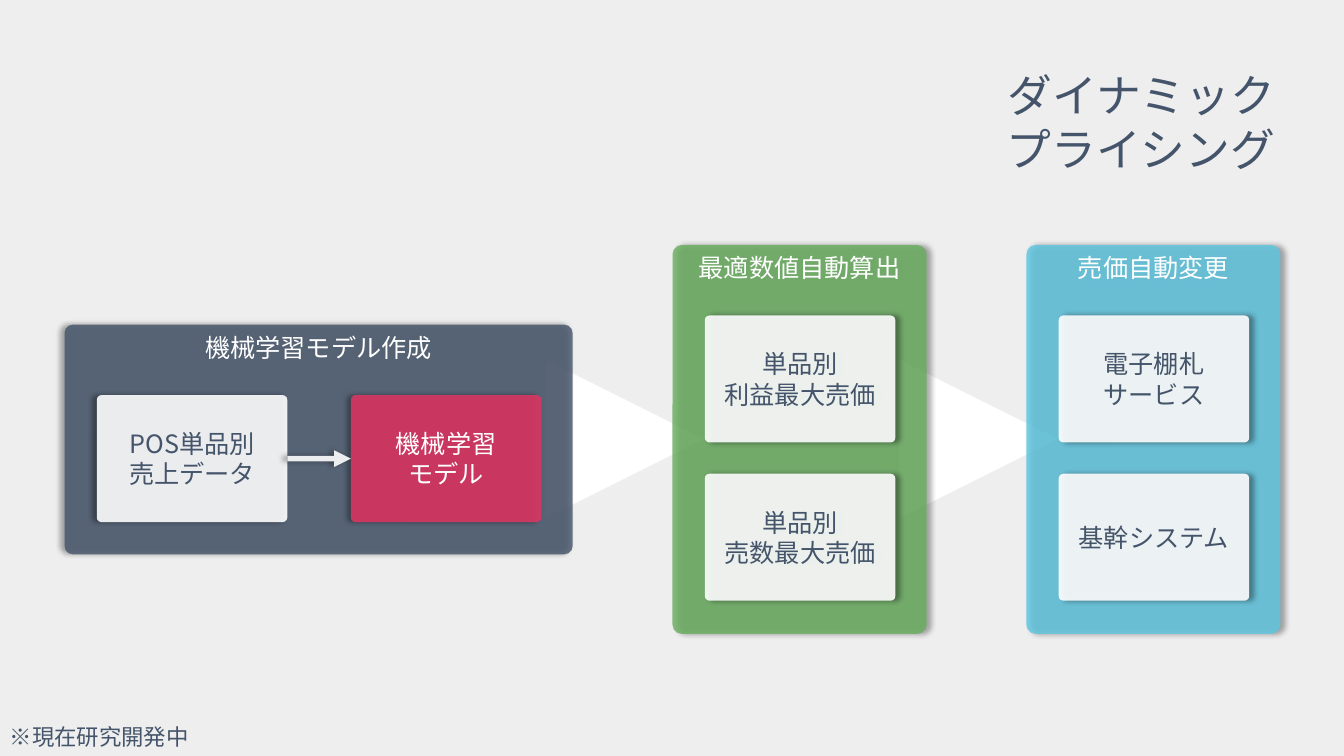
"""Builds the dynamic pricing flow slide."""
from lxml.etree import SubElement
from pptx import Presentation
from pptx.dml.color import RGBColor
from pptx.enum.shapes import MSO_CONNECTOR, MSO_SHAPE
from pptx.enum.text import MSO_ANCHOR, PP_ALIGN
from pptx.oxml.ns import qn
from pptx.util import Inches, Pt

FONT = "Noto Sans CJK JP"
BACKGROUND = RGBColor(0xEE, 0xEE, 0xEE)
WHITE = RGBColor(0xFF, 0xFF, 0xFF)
NAVY = RGBColor(0x44, 0x54, 0x6A)
RED = RGBColor(0xD9, 0x37, 0x63)
GREEN = RGBColor(0x67, 0xAD, 0x5D)
BLUE = RGBColor(0x5B, 0xC6, 0xE1)

CARD_W, CARD_H = 1.89, 1.26
CARD_LEFT, CARD_TOP = 0.32, 0.7
STEP_ACROSS, STEP_DOWN = 2.52, 1.57
ARROW_SIZE = 1.57


def set_alpha(parent, percent):
    """Makes the solid fill found under an element partly transparent."""
    color = parent.find(qn("a:solidFill"))[0]
    SubElement(color, qn("a:alpha"), val=str(percent * 1000))


def add_shadow(spPr, angle):
    """Adds a soft black outer shadow cast at the given angle."""
    effects = spPr.find(qn("a:effectLst"))
    if effects is None:
        effects = SubElement(spPr, qn("a:effectLst"))
    shadow = SubElement(effects, qn("a:outerShdw"), blurRad=str(Pt(4)),
                        dist=str(Pt(3)), dir=str(angle * 60000),
                        algn="ctr", rotWithShape="0")
    color = SubElement(shadow, qn("a:srgbClr"), val="000000")
    SubElement(color, qn("a:alpha"), val="40000")


def write_text(sp, text, size=18, color=NAVY, align=PP_ALIGN.CENTER,
               anchor=MSO_ANCHOR.TOP):
    """Writes one paragraph per line of text into a shape."""
    tf = sp.text_frame
    tf.word_wrap = True
    tf.vertical_anchor = anchor
    for i, line in enumerate(text.split("\n")):
        p = tf.paragraphs[0] if i == 0 else tf.add_paragraph()
        p.alignment = align
        r = p.add_run()
        r.text = line
        r.font.size = Pt(size)
        r.font.color.rgb = color
        r.font.name = FONT
        SubElement(r.font._element, qn("a:ea"), typeface=FONT)


def add_label(s, box, text, **fmt):
    """Places a plain text box."""
    write_text(s.shapes.add_textbox(*map(Inches, box)), text, **fmt)


def add_block(s, box, fill, alpha, angle, text, **fmt):
    """Places a translucent rounded block with a shadow and text."""
    sp = s.shapes.add_shape(MSO_SHAPE.ROUNDED_RECTANGLE, *map(Inches, box))
    sp.adjustments[0] = 0.037
    sp.fill.solid()
    sp.fill.fore_color.rgb = fill
    sp.line.fill.background()
    sp.shadow.inherit = False
    set_alpha(sp._element.spPr, alpha)
    add_shadow(sp._element.spPr, angle)
    write_text(sp, text, **fmt)
    return sp


def add_panel(s, box, fill, title, cards, step, angle=0):
    """Places a titled panel and its cards, and returns the cards."""
    add_block(s, box, fill, 80, angle, title, color=WHITE)
    left, top = box[0] + CARD_LEFT, box[1] + CARD_TOP
    return [
        add_block(s, (left + i * step[0], top + i * step[1], CARD_W, CARD_H),
                  card_fill, 90, angle, text, color=color,
                  anchor=MSO_ANCHOR.MIDDLE)
        for i, (text, card_fill, color) in enumerate(cards)
    ]


def add_flow_arrow(s, left, top):
    """Places a white triangle that points right."""
    sp = s.shapes.add_shape(MSO_SHAPE.ISOSCELES_TRIANGLE, Inches(left),
                            Inches(top), Inches(ARROW_SIZE), Inches(ARROW_SIZE))
    sp.rotation = 90
    sp.fill.solid()
    sp.fill.fore_color.rgb = WHITE
    sp.line.fill.background()
    sp.shadow.inherit = False


def link_cards(s, source, target, angle):
    """Joins two neighbouring cards with an arrow."""
    line = s.shapes.add_connector(MSO_CONNECTOR.STRAIGHT, 0, 0, 0, 0)
    line.begin_connect(source, 3)
    line.end_connect(target, 1)
    line.line.color.rgb = WHITE
    line.line.width = Pt(4)
    ln = line.line._get_or_add_ln()
    set_alpha(ln, 90)
    SubElement(ln, qn("a:tailEnd"), type="triangle")
    add_shadow(line._element.spPr, angle)


def build_slide(prs):
    """Builds the three stages of the pricing flow."""
    s = prs.slides.add_slide(prs.slide_layouts[6])
    s.background.fill.solid()
    s.background.fill.fore_color.rgb = BACKGROUND
    for left in (8.92, 5.41):
        add_flow_arrow(s, left, 3.57)
    add_label(s, (6.67, 0.62, 6.08, 1.18), "ダイナミック\nプライシング",
              size=32, align=PP_ALIGN.RIGHT)
    data, model = add_panel(
        s, (0.64, 3.22, 5.04, 2.28), NAVY, "機械学習モデル作成",
        [("POS単品別\n売上データ", WHITE, NAVY),
         ("機械学習\nモデル", RED, WHITE)],
        (STEP_ACROSS, 0), angle=180)
    link_cards(s, data, model, 180)
    stages = [
        (6.67, GREEN, "最適数値自動算出",
         ["単品別\n利益最大売価", "単品別\n売数最大売価"]),
        (10.18, BLUE, "売価自動変更",
         ["電子棚札\nサービス", "基幹システム"]),
    ]
    for left, fill, title, texts in stages:
        add_panel(s, (left, 2.43, 2.52, 3.86), fill, title,
                  [(text, WHITE, NAVY) for text in texts], (0, STEP_DOWN))
    add_label(s, (0, 7.13, 4.89, 0.37), "※現在研究開発中", size=16,
              align=PP_ALIGN.LEFT)


def main():
    """Creates and saves the presentation."""
    prs = Presentation()
    prs.slide_width, prs.slide_height = Inches(13.33), Inches(7.5)
    build_slide(prs)
    prs.save("out.pptx")


if __name__ == "__main__":
    main()
